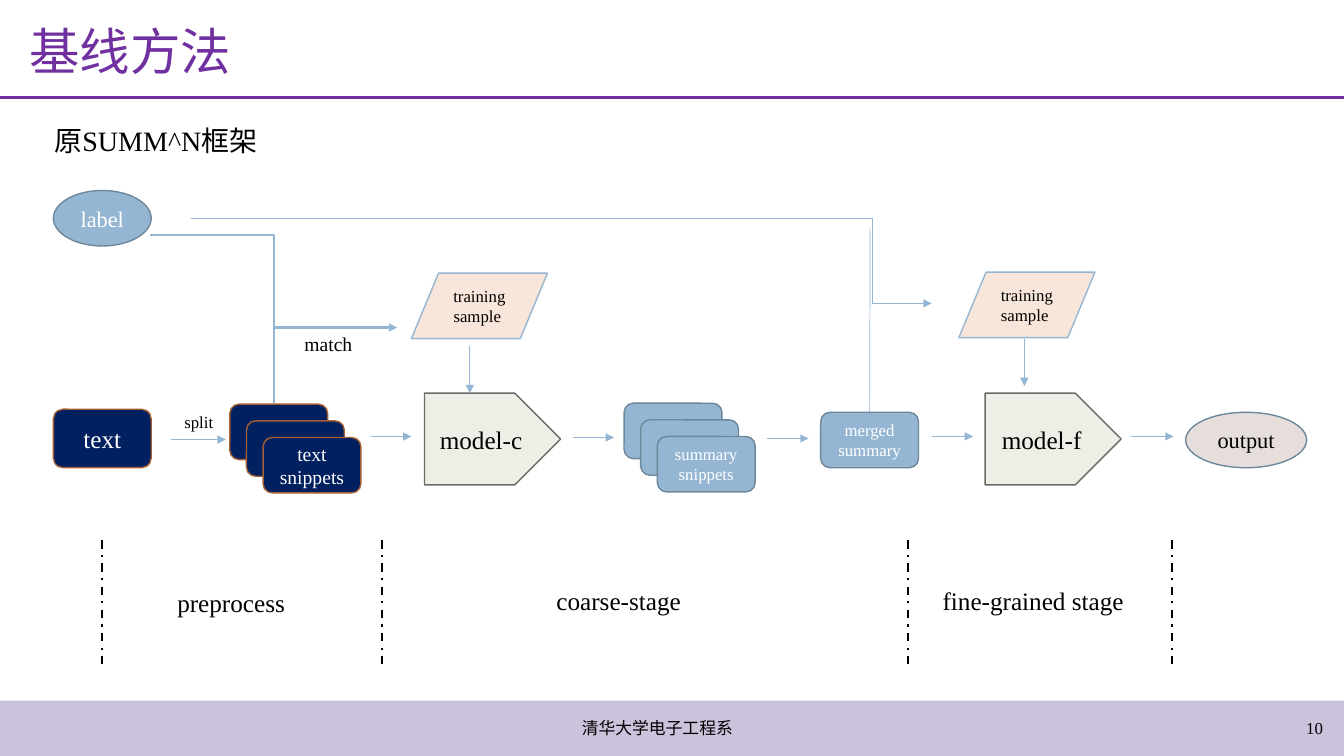
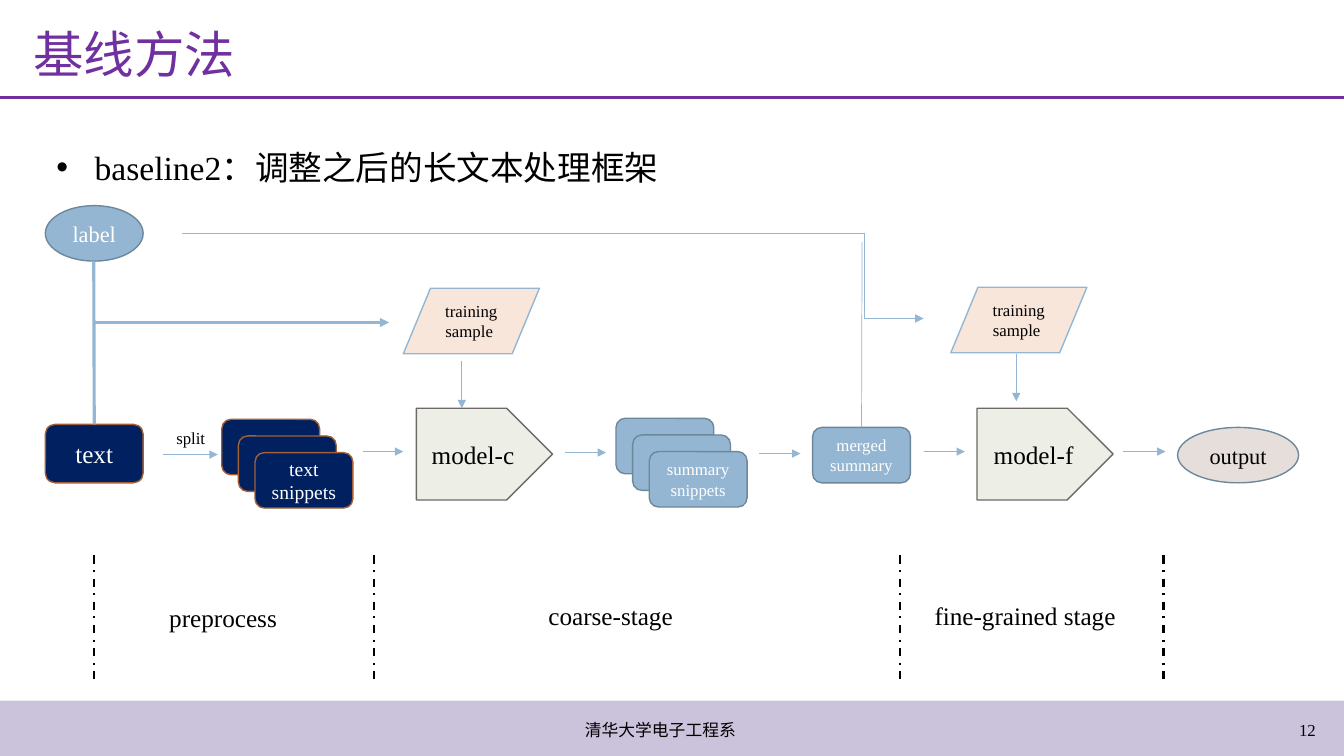
from lxml import etree
from pptx import Presentation
from pptx.dml.color import RGBColor
from pptx.enum.dml import MSO_LINE
from pptx.enum.shapes import MSO_CONNECTOR, MSO_SHAPE
from pptx.enum.text import MSO_ANCHOR, MSO_AUTO_SIZE, PP_ALIGN
from pptx.oxml.ns import qn
from pptx.util import Inches, Pt

RECTANGLE = MSO_SHAPE.RECTANGLE
ROUNDED = MSO_SHAPE.ROUNDED_RECTANGLE
ELLIPSE = MSO_SHAPE.OVAL
PENTAGON = MSO_SHAPE.PENTAGON
PARALLELOGRAM = MSO_SHAPE.FLOWCHART_DATA
STRAIGHT = MSO_CONNECTOR.STRAIGHT
ELBOW = MSO_CONNECTOR.ELBOW
DASH_DOT = MSO_LINE.DASH_DOT
LEFT, CENTER, RIGHT = PP_ALIGN.LEFT, PP_ALIGN.CENTER, PP_ALIGN.RIGHT
TOP, MIDDLE = MSO_ANCHOR.TOP, MSO_ANCHOR.MIDDLE
NO_FIT, GROW = MSO_AUTO_SIZE.NONE, MSO_AUTO_SIZE.SHAPE_TO_FIT_TEXT

BLACK = RGBColor(0x00, 0x00, 0x00)
WHITE = RGBColor(0xFF, 0xFF, 0xFF)
PURPLE = RGBColor(0x70, 0x30, 0xA0)
BAND = RGBColor(0x73, 0x5B, 0x9F)
NAVY = RGBColor(0x00, 0x20, 0x60)
RUST = RGBColor(0xA3, 0x5F, 0x35)
BLUE = RGBColor(0x94, 0xB6, 0xD2)
SLATE = RGBColor(0x6D, 0x87, 0x9B)
SAGE = RGBColor(0xED, 0xEE, 0xE6)
GRAY = RGBColor(0x6F, 0x68, 0x68)
PEACH = RGBColor(0xF8, 0xE6, 0xDA)
STONE = RGBColor(0xE6, 0xDE, 0xDB)

FONT = "Times New Roman"
WIDTH, HEIGHT = 13.33, 7.5
CARD = (0.97, 0.55)
CARD_STEP = 0.165


class SlideBuilder:
    """Hold the deck style and draw elements on the current slide."""

    def __init__(self):
        self.deck = Presentation()
        self.deck.slide_width = Inches(WIDTH)
        self.deck.slide_height = Inches(HEIGHT)
        self.page = None
        self.shift = (0, 0)

    def place(self, left, top):
        return Inches(left + self.shift[0]), Inches(top + self.shift[1])

    def fill_text(self, frame, lines, size, color, align=LEFT, anchor=TOP, spacing=None):
        frame.word_wrap = True
        frame.vertical_anchor = anchor
        for index, line in enumerate(lines):
            para = frame.add_paragraph() if index else frame.paragraphs[0]
            para.alignment = align
            if spacing:
                para.line_spacing = spacing
            span = para.add_run()
            span.text = line
            span.font.name = FONT
            span.font.size = Pt(size)
            span.font.color.rgb = color

    def new_slide(self, title, title_at, footer, footer_at, number, number_at):
        self.page = self.deck.slides.add_slide(self.deck.slide_layouts[5])
        self.shift = (0, 0)
        band = self.shape(RECTANGLE, 0, 6.95, WIDTH, HEIGHT - 6.95, BAND)
        color = band.element.spPr.find(".//" + qn("a:srgbClr"))
        etree.SubElement(color, qn("a:alpha"), val="37000")
        self.line((0, 0.97), (WIDTH, 0.97), PURPLE, 2)
        box = self.page.shapes.title
        box.left, box.top = self.place(*title_at)
        box.width, box.height = Inches(12.66), Inches(0.78)
        box.text_frame.auto_size = NO_FIT
        self.fill_text(box.text_frame, [title], 36, PURPLE, anchor=MIDDLE, spacing=0.9)
        self.text(number, *number_at, 0.73, 0.4, 12, RIGHT, MIDDLE, NO_FIT)
        self.text(footer, *footer_at, 2.02, 0.4, 12, CENTER, MIDDLE, NO_FIT)

    def shape(self, kind, left, top, width, height, fill, outline=None,
              lines=(), size=12, color=WHITE):
        box = self.page.shapes.add_shape(
            kind, *self.place(left, top), Inches(width), Inches(height))
        box.shadow.inherit = False
        box.fill.solid()
        box.fill.fore_color.rgb = fill
        if outline is None:
            box.line.fill.background()
        else:
            box.line.color.rgb = outline
            box.line.width = Pt(1)
        self.fill_text(box.text_frame, lines, size, color, CENTER, MIDDLE)
        return box

    def text(self, line, left, top, width, height, size,
             align=LEFT, anchor=TOP, fit=GROW, spacing=None):
        box = self.page.shapes.add_textbox(
            *self.place(left, top), Inches(width), Inches(height))
        self.fill_text(box.text_frame, [line], size, BLACK, align, anchor, spacing)
        box.text_frame.auto_size = fit
        return box

    def bullet(self, line, left, top, width, height, size):
        box = self.text(line, left, top, width, height, size, spacing=1.5)
        properties = box.element.find(".//" + qn("a:pPr"))
        properties.set("marL", str(Inches(0.38)))
        properties.set("indent", str(-Inches(0.38)))
        etree.SubElement(properties, qn("a:buFont"), typeface="Arial")
        etree.SubElement(properties, qn("a:buChar"), char="•")

    def line(self, start, end, color=BLUE, weight=0.5, dash=None,
             arrow=False, bend=None, target=None):
        kind = STRAIGHT if bend is None else ELBOW
        link = self.page.shapes.add_connector(
            kind, *self.place(*start), *self.place(*end))
        link.line.color.rgb = color
        link.line.width = Pt(weight)
        if dash:
            link.line.dash_style = dash
        properties = link.element.spPr
        if arrow:
            etree.SubElement(properties.find(qn("a:ln")), qn("a:tailEnd"), type="triangle")
        if bend is not None:
            guides = properties.find(".//" + qn("a:avLst"))
            etree.SubElement(guides, qn("a:gd"), name="adj1",
                             fmla=f"val {round(bend * 100000)}")
        etree.SubElement(properties, qn("a:effectLst"))
        if target is not None:
            link.end_connect(target, 0)

    def arrow(self, start, end, weight=0.5, bend=None):
        self.line(start, end, weight=weight, arrow=True, bend=bend)

    def stack(self, left, top, fill, outline, caption, size):
        for index, lines in enumerate(([], [], [caption])):
            offset = index * CARD_STEP
            self.shape(ROUNDED, left + offset, top + offset, *CARD,
                       fill, outline, lines, size)

    def pipeline(self, shift):
        self.shift = shift
        source = self.shape(ROUNDED, 0.53, 4.06, 0.97, 0.58, NAVY, RUST, ["text"], 18)
        self.shape(ELLIPSE, 0.53, 1.89, *CARD, BLUE, SLATE, ["label"], 16)
        self.stack(2.28, 4.01, NAVY, RUST, "text snippets", 14)
        self.text("split", 1.73, 4.04, 0.69, 0.3, 12)
        self.stack(6.19, 4, BLUE, SLATE, "summary snippets", 12)
        merged = self.shape(ROUNDED, 8.14, 4.09, *CARD, BLUE, SLATE,
                            ["merged", "summary"], 12)
        self.shape(ELLIPSE, 11.76, 4.09, 1.2, 0.55, STONE, SLATE, ["output"], 16, BLACK)
        for name, left in (("model-c", 4.21), ("model-f", 9.77)):
            self.shape(PENTAGON, left, 3.9, 1.35, 0.91, SAGE, GRAY, [name], 18, BLACK)
        for left, top in ((4.08, 2.71), (9.51, 2.7)):
            self.shape(PARALLELOGRAM, left, top, 1.35, 0.65, PEACH, BLUE,
                       ["training sample "], 12, BLACK)
        for left, right, level in ((1.7, 2.24, 4.36), (3.68, 4.08, 4.33),
                                   (5.68, 6.09, 4.34), (7.61, 8.02, 4.35),
                                   (9.24, 9.65, 4.33), (11.22, 11.64, 4.33)):
            self.arrow((left, level), (right, level))
        for center, top in ((4.66, 3.43), (10.16, 3.36)):
            self.arrow((center, top), (center, top + 0.47))
        self.arrow((1.89, 2.17), (9.24, 3.01), bend=0.92)
        self.line((8.63, 2.25), (8.63, 4.09), target=merged)
        for left in (1.01, 3.79, 9.01, 11.62):
            self.line((left, 5.36), (left, 6.61), BLACK, 1.5, DASH_DOT)
        for name, left, top in (("preprocess", 1.66, 5.78), ("coarse-stage", 5.42, 5.76),
                                ("fine-grained stage", 9.25, 5.76)):
            self.text(name, left, top, 2.19, 0.4, 18)
        return source


def main():
    builder = SlideBuilder()
    title, footer = "基线方法", "清华大学电子工程系"

    builder.new_slide(title, (0.19, 0.15), footer, (5.51, 7.02), "10", (12.49, 7.02))
    builder.pipeline((0, 0))
    builder.arrow((1.49, 2.33), (3.94, 3.25), 1.75, bend=0.5)
    builder.line((2.72, 3.24), (2.72, 4), weight=1.75)
    builder.text("match", 2.92, 3.24, 0.85, 0.34, 14)
    builder.text("原SUMM^N框架", 0.44, 1.18, 10.87, 0.44, 20)

    builder.new_slide(title, (0.23, 0.18), footer, (5.54, 7.04), "12", (12.42, 7.04))
    builder.bullet("baseline2：调整之后的长文本处理框架", 0.46, 1.21, 7.35, 0.63, 24)
    source = builder.pipeline((-0.08, 0.15))
    builder.line((1.01, 2.44), (1.01, 4.06), weight=2.25, target=source)
    builder.arrow((1.01, 3.05), (3.94, 3.05), 2.25)

    builder.deck.save("out.pptx")


if __name__ == "__main__":
    main()
